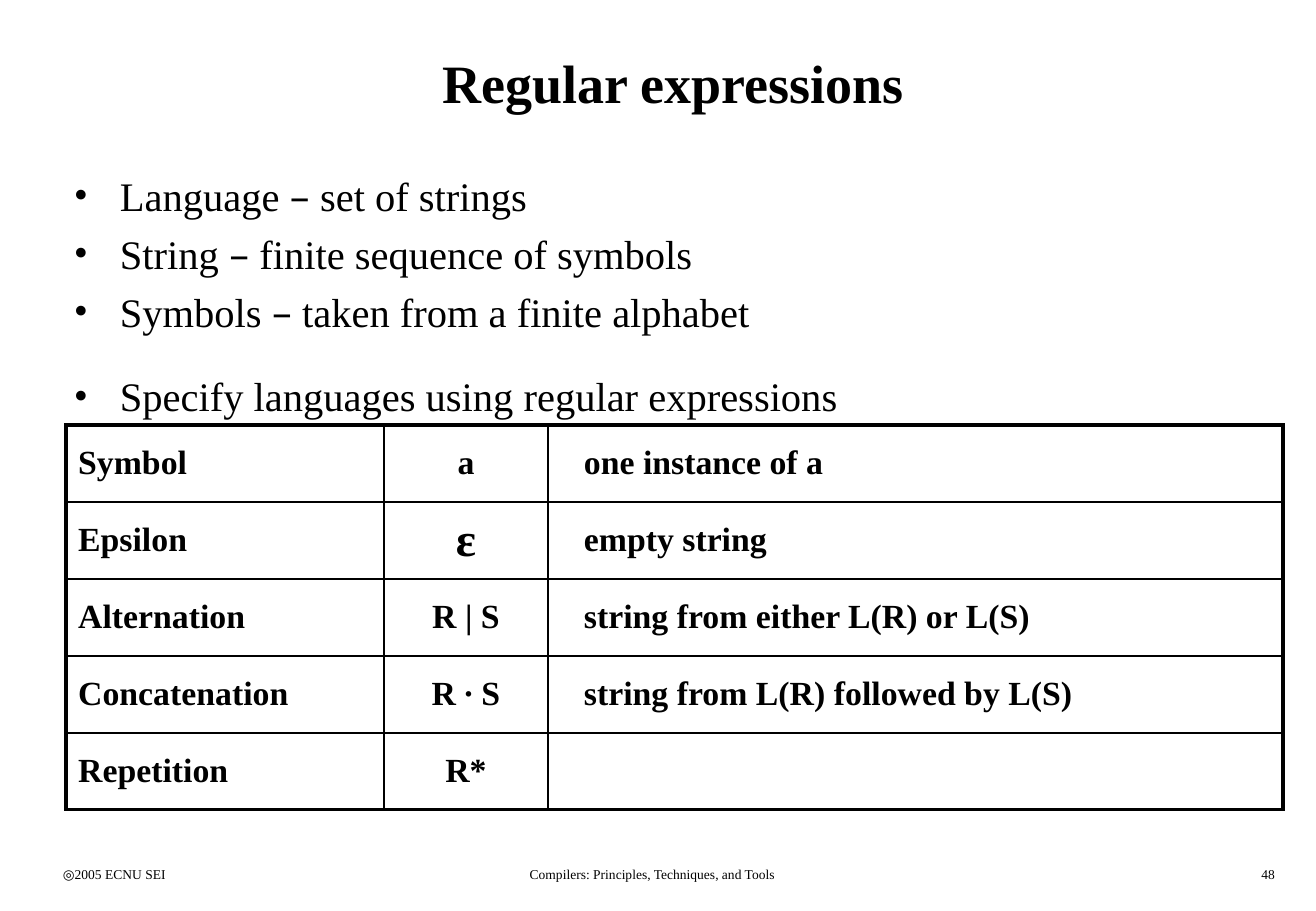
import dataclasses

import pptx
import pptx.dml.color
import pptx.enum.text
import pptx.oxml.ns
import pptx.util
from lxml import etree

PX = 7526  # EMU per px
ALIGN = pptx.enum.text.PP_ALIGN
MIDDLE = pptx.enum.text.MSO_ANCHOR.MIDDLE


@dataclasses.dataclass(frozen=True)
class Theme:
    ink: str = "000000"
    font: str = "Times New Roman"
    dash_font: str = "DejaVu Sans"
    title: int = 32
    body: int = 24
    cell: int = 20
    epsilon: int = 28
    footer: int = 8
    outer_line: float = 2.25
    inner_line: float = 1


T = Theme()

BULLETS = [  # text, space before in points
    ("Language – set of strings", 0),
    ("String – finite sequence of symbols", 5.6),
    ("Symbols – taken from a finite alphabet", 5.6),
    ("Specify languages using regular expressions", 21),
]
OPERATORS = [
    ("Symbol", "a", "one instance of a"),
    ("Epsilon", "ε", "empty string"),
    ("Alternation", "R | S", "string from either L(R) or L(S)"),
    ("Concatenation", "R ∙ S", "string from L(R) followed by L(S)"),
    ("Repetition", "R*", ""),
]


def px(n):
    return pptx.util.Emu(n * PX)


def add_run(p, text, size, bold=False, font=T.font):
    r = p.add_run()
    r.text = text
    r.font.name, r.font.size, r.font.bold = font, pptx.util.Pt(size), bold
    r.font.color.rgb = pptx.dml.color.RGBColor.from_string(T.ink)


def add_text_box(s, x, y, w, h):
    tf = s.shapes.add_textbox(px(x), px(y), px(w), px(h)).text_frame
    tf.word_wrap = True
    return tf


def sub(parent, tag, **attrs):
    return etree.SubElement(parent, pptx.oxml.ns.qn(tag), attrs)


def set_bullet(p, indent):
    pPr = p._p.get_or_add_pPr()
    pPr.set("marL", str(px(indent)))
    pPr.set("indent", str(-px(indent)))
    sub(pPr, "a:buFont", typeface=T.font)
    sub(pPr, "a:buChar", char="•")


def set_borders(cell, widths):
    tcPr = cell._tc.get_or_add_tcPr()
    for side, width in zip("LRTB", widths):
        ln = sub(tcPr, f"a:ln{side}", w=str(pptx.util.Pt(width)))
        sub(sub(ln, "a:solidFill"), "a:srgbClr", val=T.ink)


def add_title(s, x, y, w, h):
    sp = s.shapes.title
    sp.left, sp.top, sp.width, sp.height = px(x), px(y), px(w), px(h)
    tf = sp.text_frame
    tf.auto_size = pptx.enum.text.MSO_AUTO_SIZE.NONE
    tf.vertical_anchor = MIDDLE
    p = tf.paragraphs[0]
    p.alignment = ALIGN.CENTER
    add_run(p, "Regular expressions", T.title, bold=True)


def add_bullets(s, x, y, w, h):
    tf = add_text_box(s, x, y, w, h)
    for i, (text, space) in enumerate(BULLETS):
        p = tf.add_paragraph() if i else tf.paragraphs[0]
        if space:
            p.space_before = pptx.util.Pt(space)
        set_bullet(p, indent=46)
        before, dash, after = text.partition("–")
        add_run(p, before, T.body)
        if dash:
            add_run(p, dash, T.body, font=T.dash_font)
            add_run(p, after, T.body)


def add_operator_table(s, x, y, w, h):
    rows, cols = len(OPERATORS), len(OPERATORS[0])
    table = s.shapes.add_table(rows, cols, px(x), px(y), px(w), px(h)).table
    table.first_row = table.horz_banding = False
    name_w, sign_w = 318, 164
    for column, width in zip(table.columns, (name_w, sign_w, w - name_w - sign_w)):
        column.width = px(width)
    for i, row in enumerate(OPERATORS):
        table.rows[i].height = px(h // rows)
        for j, text in enumerate(row):
            cell = table.cell(i, j)
            # Heavy frame around the table, thin lines inside
            on_edge = (j == 0, j == cols - 1, i == 0, i == rows - 1)
            set_borders(cell, [T.outer_line if e else T.inner_line for e in on_edge])
            cell.fill.background()
            cell.vertical_anchor = MIDDLE
            if j == cols - 1:
                cell.margin_left = px(36)
            p = cell.text_frame.paragraphs[0]
            p.alignment = ALIGN.CENTER if j == 1 else ALIGN.LEFT
            if text:
                add_run(p, text, T.epsilon if text == "ε" else T.cell, bold=True)


def add_footer(s, x, y, w, h):
    side_w, centre_x, centre_w = 275, 355, 493
    for left, width, align, text in (
        (x, side_w, ALIGN.LEFT, "◎2005 ECNU SEI"),
        (x + centre_x, centre_w, ALIGN.CENTER, "Compilers: Principles, Techniques, and Tools"),
        (x + w - side_w, side_w, ALIGN.RIGHT, "48"),
    ):
        p = add_text_box(s, left, y, width, h).paragraphs[0]
        p.alignment = align
        add_run(p, text, T.footer)


def main():
    prs = pptx.Presentation()
    prs.slide_width, prs.slide_height = px(1316), px(911)
    s = prs.slides.add_slide(prs.slide_layouts[5])  # title only
    add_title(s, 51, 21, 1245, 121)
    add_bullets(s, 62, 165, 1224, 273)
    add_operator_table(s, 66, 425, 1217, 385)
    add_footer(s, 51, 860, 1236, 30)
    prs.save("out.pptx")


if __name__ == "__main__":
    main()
